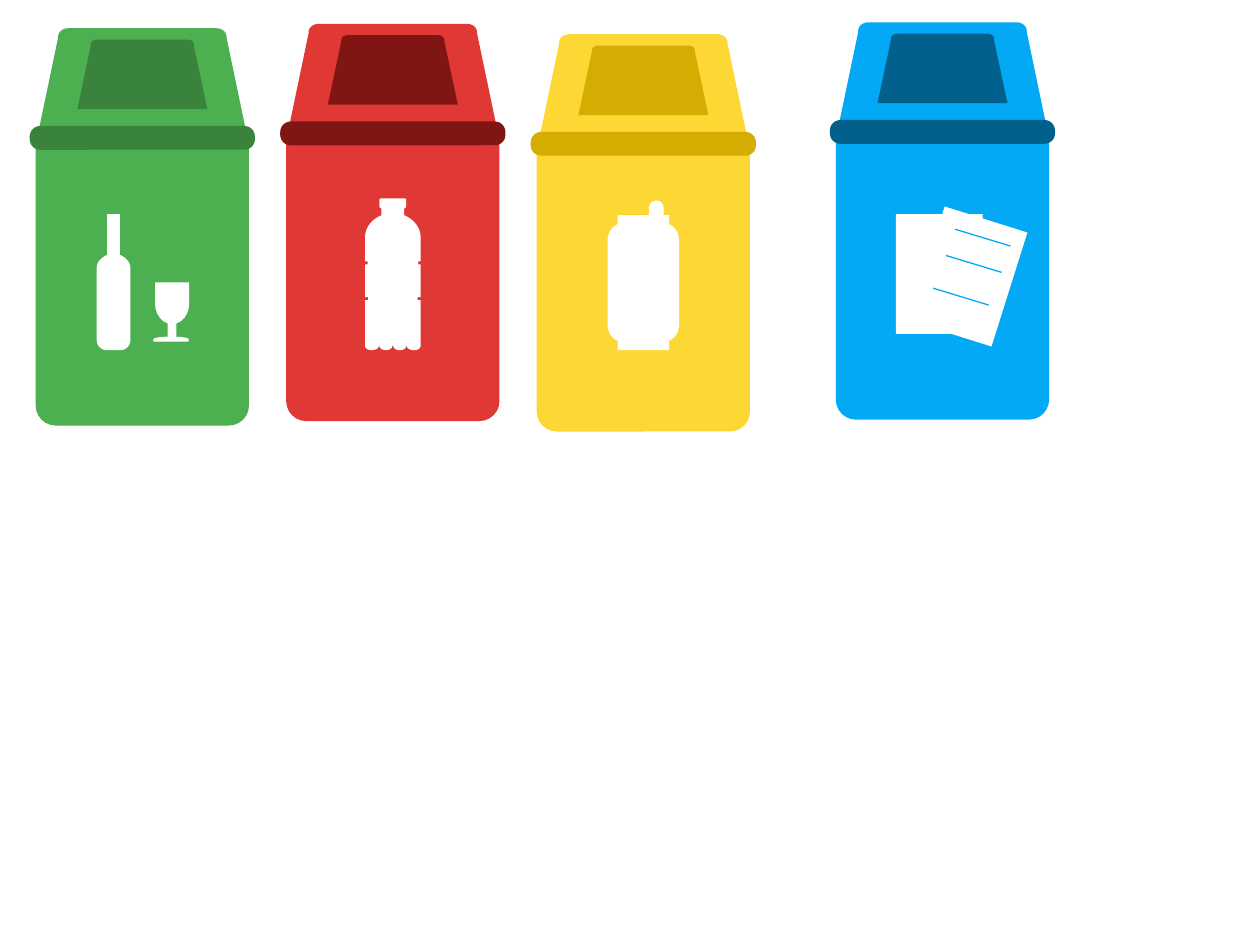
from dataclasses import dataclass
from lxml import etree
from pptx import Presentation
from pptx.dml.color import RGBColor
from pptx.enum.shapes import MSO_CONNECTOR, MSO_SHAPE
from pptx.oxml.ns import qn
from pptx.shapes.autoshape import Shape
from pptx.shapes.shapetree import GroupShapes
from pptx.util import Cm, Pt

RECTANGLE = MSO_SHAPE.RECTANGLE
ROUNDED = MSO_SHAPE.ROUNDED_RECTANGLE
ROUND_TOP = MSO_SHAPE.ROUND_2_SAME_RECTANGLE
DELAY = MSO_SHAPE.FLOWCHART_DELAY
STRAIGHT = MSO_CONNECTOR.STRAIGHT
WHITE = "FFFFFF"
CURVE_STEPS = 8

Outline = list[tuple[float, ...]]


@dataclass
class Bin:
    center: float
    top: float
    color: str
    dark: str


@dataclass
class Part:
    kind: MSO_SHAPE
    left: float
    top: float
    width: float
    height: float
    rotation: float = 0
    rounding: float | None = None


# Each outline is the right half: pairs are corners, sextuples are Bezier curves.
LID: Outline = [(1.49, 0), (1.61, 0, 1.7, 0.08, 1.7, 0.18), (1.7, 0.2), (2.12, 2.21)]
OPENING: Outline = [(0.91, 0), (0.99, 0, 1.04, 0.05, 1.04, 0.1), (1.04, 0.13), (1.31, 1.4)]
WINE_BOTTLE: Outline = [
    (0.13, 0), (0.13, 0.82), (0.25, 0.87, 0.34, 0.97, 0.34, 1.08), (0.34, 2.54),
    (0.34, 2.64, 0.25, 2.74, 0.15, 2.74),
]
PLASTIC_BOTTLE: Outline = [
    (0.23, 0), (0.25, 0, 0.27, 0.01, 0.27, 0.03), (0.27, 0.15),
    (0.27, 0.18, 0.25, 0.2, 0.23, 0.2), (0.23, 0.34),
    (0.43, 0.42, 0.56, 0.6, 0.56, 0.78), (0.56, 1.27), (0.51, 1.27),
    (0.51, 1.33), (0.56, 1.33), (0.56, 1.99), (0.5, 1.99), (0.5, 2.05),
    (0.56, 2.05), (0.56, 2.97), (0.56, 3.02, 0.51, 3.06, 0.43, 3.06),
    (0.34, 3.06, 0.28, 3.02, 0.28, 2.97), (0.27, 2.97),
    (0.27, 3.02, 0.22, 3.06, 0.14, 3.06), (0.06, 3.06, 0.01, 3.02, 0.01, 2.97),
]
CAN: Outline = [
    (0.52, 0), (0.52, 0.18), (0.64, 0.24, 0.72, 0.36, 0.72, 0.5), (0.72, 2.2),
    (0.72, 2.36, 0.64, 2.48, 0.52, 2.53), (0.52, 2.72),
]

GLASS_BIN = Bin(2.87, 0.57, "4CAF50", "39833D")
PLASTIC_BIN = Bin(7.92, 0.48, "E03935", "7F1613")
METAL_BIN = Bin(12.97, 0.69, "FDD835", "D4AC02")
PAPER_BIN = Bin(19, 0.45, "03A9F4", "02618C")

WINE_GLASS = [
    Part(DELAY, 3.05, 5.77, 0.84, 0.69, 90),
    Part(RECTANGLE, 3.38, 6.22, 0.18, 0.61),
    Part(DELAY, 3.4, 6.48, 0.1, 0.71, 270),
]
CAN_TAB = Part(ROUND_TOP, 13.08, 4.04, 0.3, 0.35, rounding=0.5)
SHEETS = [
    Part(RECTANGLE, 18.06, 4.32, 1.75, 2.41),
    Part(RECTANGLE, 18.64, 4.37, 1.75, 2.41, 17.5),
]
WRITING_STARTS = [(19.25, 4.62), (19.07, 5.15), (18.81, 5.81)]


def rgb(color: str) -> RGBColor:
    return RGBColor.from_string(color)


def paint(shape: Shape, color: str) -> None:
    shape.shadow.inherit = False
    shape.fill.solid()
    shape.fill.fore_color.rgb = rgb(color)
    shape.line.fill.background()


def draw_part(shapes: GroupShapes, part: Part, color: str) -> None:
    shape = shapes.add_shape(part.kind, Cm(part.left), Cm(part.top), Cm(part.width), Cm(part.height))
    shape.rotation = part.rotation
    if part.rounding is not None:
        shape.adjustments[0] = part.rounding
    paint(shape, color)


def flatten(outline: Outline) -> list[tuple[float, float]]:
    points = []
    for segment in outline:
        if len(segment) == 2:
            points.append(segment)
            continue
        knots = [points[-1], segment[:2], segment[2:4], segment[4:]]
        for step in range(1, CURVE_STEPS + 1):
            t = step / CURVE_STEPS
            weights = ((1 - t) ** 3, 3 * t * (1 - t) ** 2, 3 * t**2 * (1 - t), t**3)
            points.append(tuple(sum(w * k[axis] for w, k in zip(weights, knots)) for axis in (0, 1)))
    return points


def draw_mirrored(shapes: GroupShapes, outline: Outline, center: float, top: float, color: str) -> None:
    half = flatten(outline)
    whole = half + [(-x, y) for x, y in reversed(half)]
    start, *rest = [(Cm(center + x), Cm(top + y)) for x, y in whole]
    builder = shapes.build_freeform(*start)
    builder.add_line_segments(rest, close=True)
    paint(builder.convert_to_shape(), color)


def draw_bin(shapes: GroupShapes, waste: Bin) -> None:
    draw_mirrored(shapes, LID, waste.center, waste.top, waste.color)
    body = Part(ROUNDED, waste.center - 2.15, waste.top + 1.89, 4.3, 6.12, rounding=0.094)
    rim = Part(ROUNDED, waste.center - 2.27, waste.top + 1.97, 4.54, 0.48, rounding=0.44)
    draw_part(shapes, body, waste.color)
    draw_part(shapes, rim, waste.dark)
    draw_mirrored(shapes, OPENING, waste.center, waste.top + 0.23, waste.dark)


def draw_writing(shapes: GroupShapes, left: float, top: float, color: str) -> None:
    line = shapes.add_connector(STRAIGHT, Cm(left), Cm(top), Cm(left + 1.12), Cm(top + 0.34))
    line.line.color.rgb = rgb(color)
    line.line.width = Pt(0.75)
    etree.SubElement(line._element.spPr, qn("a:effectLst"))


presentation = Presentation()
presentation.slide_width = Cm(25.4)
presentation.slide_height = Cm(19.05)
slide = presentation.slides.add_slide(presentation.slide_layouts[6])

glass, plastic, metal, paper = [slide.shapes.add_group_shape().shapes for _ in range(4)]
for shapes, waste in zip(
    (glass, plastic, metal, paper), (GLASS_BIN, PLASTIC_BIN, METAL_BIN, PAPER_BIN)
):
    draw_bin(shapes, waste)

for part in WINE_GLASS:
    draw_part(glass, part, WHITE)
draw_mirrored(glass, WINE_BOTTLE, 2.29, 4.32, WHITE)
draw_mirrored(plastic, PLASTIC_BOTTLE, PLASTIC_BIN.center, 4, WHITE)
draw_mirrored(metal, CAN, METAL_BIN.center, 4.34, WHITE)
draw_part(metal, CAN_TAB, WHITE)
for sheet in SHEETS:
    draw_part(paper, sheet, WHITE)
for left, top in WRITING_STARTS:
    draw_writing(paper, left, top, PAPER_BIN.color)

presentation.save("out.pptx")
